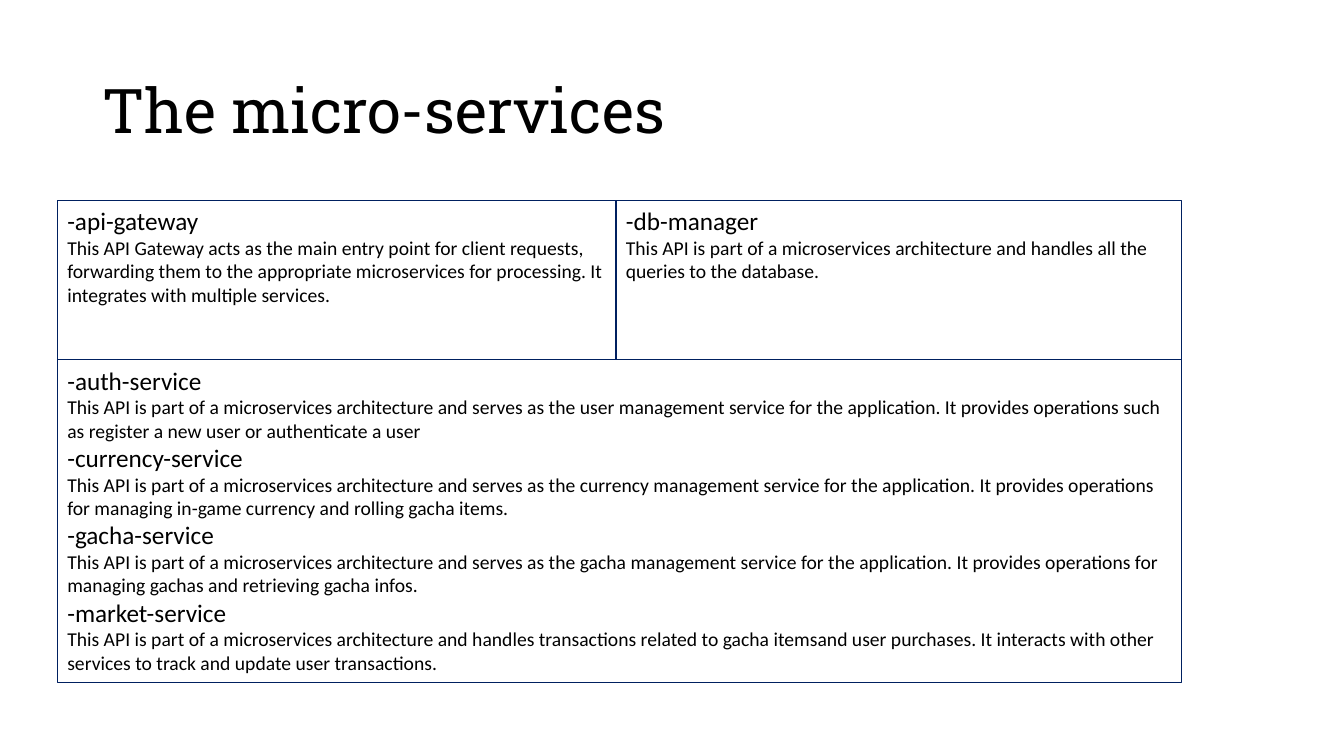
"""Build the slide that describes the micro-services."""
from pptx import Presentation
from pptx.dml.color import RGBColor
from pptx.enum import shapes, text
from pptx.util import Pt

BLACK = RGBColor(0x00, 0x00, 0x00)
NAVY = RGBColor(0x00, 0x20, 0x60)

LEFT, TOP, MIDDLE = 41, 143.3, 257.1
GATEWAY_WIDTH, DB_WIDTH, SERVICES_HEIGHT = 399, 403.8, 230.2
PART_OF = "This API is part of a microservices architecture and "

boxes = [
    ((LEFT, TOP, GATEWAY_WIDTH, MIDDLE - TOP), [
        ("-api-gateway",
         "This API Gateway acts as the main entry point for client requests, forwarding them to "
         "the appropriate microservices for processing. It integrates with multiple services."),
    ]),
    ((LEFT + GATEWAY_WIDTH, TOP, DB_WIDTH, MIDDLE - TOP), [
        ("-db-manager", PART_OF + "handles all the queries to the database."),
    ]),
    ((LEFT, MIDDLE, GATEWAY_WIDTH + DB_WIDTH, SERVICES_HEIGHT), [
        ("-auth-service",
         PART_OF + "serves as the user management service for the application. It provides "
         "operations such as register a new user or authenticate a user"),
        ("-currency-service",
         PART_OF + "serves as the currency management service for the application. It provides "
         "operations for managing in-game currency and rolling gacha items."),
        ("-gacha-service",
         PART_OF + "serves as the gacha management service for the application. It provides "
         "operations for managing gachas and retrieving gacha infos."),
        ("-market-service",
         PART_OF + "handles transactions related to gacha itemsand user purchases. It interacts "
         "with other services to track and update user transactions."),
    ]),
]


def write(paragraph, words, font_name, size):
    paragraph.alignment = text.PP_ALIGN.LEFT
    run = paragraph.add_run()
    run.text = words
    for key, value in {"name": font_name, "size": Pt(size)}.items():
        setattr(run.font, key, value)
    run.font.color.rgb = BLACK


deck = Presentation()
deck.slide_width, deck.slide_height = Pt(960), Pt(540)
slide = deck.slides.add_slide(deck.slide_layouts[5])

heading = slide.shapes.title
for key, value in {"left": 66, "top": 28.8, "width": 828, "height": 104.4}.items():
    setattr(heading, key, Pt(value))
heading.text_frame.vertical_anchor = text.MSO_ANCHOR.MIDDLE
heading_line = heading.text_frame.paragraphs[0]
heading_line.line_spacing = 0.9
write(heading_line, "The micro-services", "Roboto Slab", 44)

for bounds, services in boxes:
    box = slide.shapes.add_shape(shapes.MSO_SHAPE.RECTANGLE, *map(Pt, bounds))
    box.shadow.inherit = False
    box.fill.background()
    box.line.color.rgb = NAVY
    box.line.width = Pt(0.75)
    frame = box.text_frame
    frame.word_wrap = True
    frame.vertical_anchor = text.MSO_ANCHOR.TOP
    for index, (service, description) in enumerate(services):
        service_line = frame.add_paragraph() if index else frame.paragraphs[0]
        write(service_line, service, "Calibri", 18)
        write(frame.add_paragraph(), description, "Calibri", 14)

deck.save("out.pptx")
